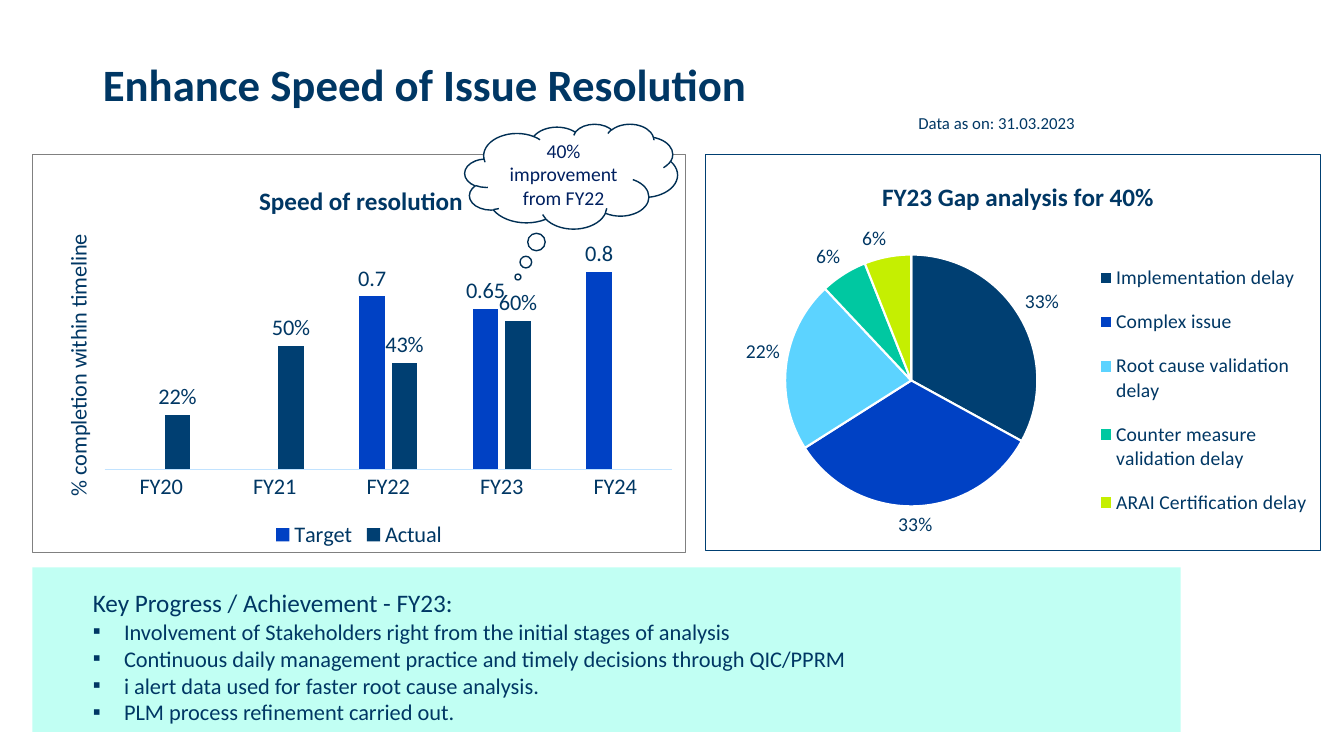
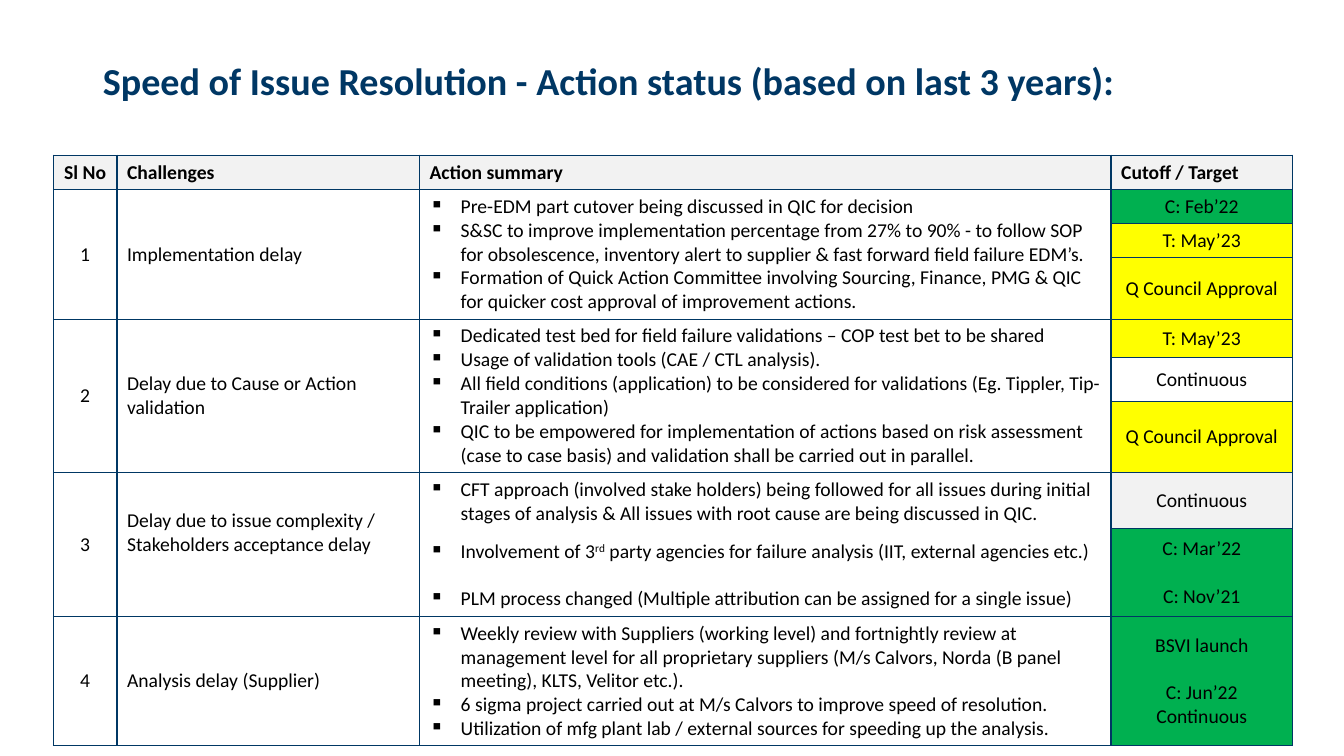
from lxml.etree import SubElement
from pptx import Presentation
from pptx.chart.data import CategoryChartData
from pptx.dml.color import RGBColor
from pptx.enum.chart import XL_CHART_TYPE, XL_LABEL_POSITION, XL_LEGEND_POSITION, XL_TICK_MARK
from pptx.enum.shapes import MSO_SHAPE
from pptx.enum.text import MSO_ANCHOR, MSO_AUTO_SIZE, PP_ALIGN
from pptx.oxml import parse_xml
from pptx.oxml.ns import nsdecls, qn
from pptx.util import Inches, Pt

NAVY, DEEP, BLUE = "003764", "003F72", "0041C4"
WHITE, BLACK, GREY = "FFFFFF", "000000", "F2F2F2"
GREEN, YELLOW, MINT = "00B050", "FFFF00", "C1FFF3"
TITLE_BOX = (0.92, 0.4, 11.18, 0.85)
BULLET_INDENT = 0.31


def rgb(value):
    return RGBColor.from_string(value)


def assign(target, values):
    for name, value in values.items():
        setattr(target, name, value)


class Deck:
    def __init__(self):
        self.presentation = Presentation()
        assign(self.presentation, {"slide_width": Inches(13.33), "slide_height": Inches(7.5)})
        self.slide = None

    def add_slide(self, heading, size, layout, spacing=1.0):
        self.slide = self.presentation.slides.add_slide(self.presentation.slide_layouts[layout])
        title = self.slide.shapes.title
        self.place(title, TITLE_BOX)
        frame = title.text_frame
        assign(frame, {"vertical_anchor": MSO_ANCHOR.MIDDLE, "auto_size": MSO_AUTO_SIZE.NONE})
        self.typeset(frame.paragraphs[0], heading, size, bold=True, align=PP_ALIGN.LEFT, spacing=spacing)

    def place(self, shape, box):
        assign(shape, dict(zip(("left", "top", "width", "height"), map(Inches, box))))

    def style(self, font, size, color=NAVY, bold=False):
        assign(font, {"name": "Calibri", "size": Pt(size), "bold": bold})
        font.color.rgb = rgb(color)

    def typeset(self, paragraph, text, size, color=NAVY, bold=False, align=None, spacing=1.0, gap=0):
        assign(paragraph, {"alignment": align, "line_spacing": spacing, "space_before": Pt(gap)})
        for index, part in enumerate(text.split("^")):
            run = paragraph.add_run()
            run.text = part
            self.style(run.font, size, color, bold)
            if index % 2:
                run.font._element.set("baseline", "30000")

    def indent(self, paragraph, left, hanging=0.0, bullet=None):
        properties = paragraph._p.get_or_add_pPr()
        properties.set("marL", str(int(Inches(left))))
        properties.set("indent", str(int(Inches(-hanging))))
        if bullet:
            SubElement(properties, qn("a:buChar")).set("char", bullet)
        else:
            SubElement(properties, qn("a:buNone"))

    def paragraphs(self, frame, count):
        return [frame.paragraphs[0]] + [frame.add_paragraph() for _ in range(count - 1)]

    def progress_panel(self, box, heading, points):
        panel = self.slide.placeholders[1]
        self.place(panel, box)
        panel.fill.solid()
        panel.fill.fore_color.rgb = rgb(MINT)
        frame = panel.text_frame
        assign(frame, {"vertical_anchor": MSO_ANCHOR.TOP, "auto_size": MSO_AUTO_SIZE.NONE})
        first, *others = self.paragraphs(frame, len(points) + 1)
        self.indent(first, 0.5)
        self.typeset(first, heading, 18, spacing=1.5)
        for paragraph, point in zip(others, points):
            self.indent(paragraph, 0.5 + BULLET_INDENT, BULLET_INDENT, "▪")
            self.typeset(paragraph, point, 16)

    def caption(self, box, text, size):
        frame = self.slide.shapes.add_textbox(*map(Inches, box)).text_frame
        frame.word_wrap = False
        self.typeset(frame.paragraphs[0], text, size)

    def cloud(self, box, text, pointer):
        callout = self.slide.shapes.add_shape(MSO_SHAPE.CLOUD_CALLOUT, *map(Inches, box))
        callout.shadow.inherit = False
        callout.adjustments[0], callout.adjustments[1] = pointer
        callout.fill.solid()
        callout.fill.fore_color.rgb = rgb(WHITE)
        callout.line.color.rgb = rgb("002F54")
        callout.line.width = Pt(1)
        callout.text_frame.vertical_anchor = MSO_ANCHOR.MIDDLE
        self.typeset(callout.text_frame.paragraphs[0], text, 14, "002060", align=PP_ALIGN.CENTER)

    def arrange(self, element, **fractions):
        previous = element.find(qn("c:layout"))
        if previous is not None:
            element.remove(previous)
        layout = parse_xml(f"<c:layout {nsdecls('c')}><c:manualLayout/></c:layout>")
        settings = {"xMode": "edge", "yMode": "edge", **fractions}
        if element.tag == qn("c:plotArea"):
            settings = {"layoutTarget": "inner", **settings}
        for name, value in settings.items():
            SubElement(layout[0], qn(f"c:{name}")).set("val", str(value))
        leaders = [child for child in element if child.tag in (qn("c:tx"), qn("c:legendPos"))]
        if leaders:
            leaders[-1].addnext(layout)
        else:
            element.insert(0, layout)

    def chart(self, kind, box, heading, categories, series, size, border, legend, title_at, plot_at):
        data = CategoryChartData()
        data.categories = categories
        for name, values in series:
            data.add_series(name, values)
        chart = self.slide.shapes.add_chart(kind, *map(Inches, box), data).chart
        self.style(chart.font, size)
        assign(chart, {"has_title": True, "has_legend": True})
        self.typeset(chart.chart_title.text_frame.paragraphs[0], heading, 18, bold=True)
        assign(chart.legend, {"position": legend, "include_in_layout": False})
        self.style(chart.legend.font, size)
        space = chart._chartSpace
        space.find(qn("c:chart")).addnext(parse_xml(
            f"<c:spPr {nsdecls('c', 'a')}><a:noFill/><a:ln w='9525'><a:solidFill>"
            f"<a:srgbClr val='{border}'/></a:solidFill></a:ln></c:spPr>"))
        self.arrange(chart.chart_title._element, **title_at)
        self.arrange(space.chart.plotArea, **plot_at)
        return chart

    def data_labels(self, series, size, number_format, **shown):
        labels = series.data_labels
        assign(labels, {"number_format": number_format, "number_format_is_linked": False,
                        "position": XL_LABEL_POSITION.OUTSIDE_END, **shown})
        self.style(labels.font, size)

    def columns(self, box, heading, axis_heading, categories, series):
        chart = self.chart(XL_CHART_TYPE.COLUMN_CLUSTERED, box, heading, categories,
                           [(name, values) for name, values, _, _ in series], 16, "808080",
                           XL_LEGEND_POSITION.BOTTOM, {"x": 0.34, "y": 0.06},
                           {"x": 0.11, "y": 0.17, "w": 0.87, "h": 0.62})
        assign(chart.plots[0], {"gap_width": 219, "overlap": -27, "vary_by_categories": False})
        for bars, (_, _, color, number_format) in zip(chart.plots[0].series, series):
            bars.format.fill.solid()
            bars.format.fill.fore_color.rgb = rgb(color)
            self.data_labels(bars, 16, number_format, show_value=True)
        years, share = chart.category_axis, chart.value_axis
        years.major_tick_mark = XL_TICK_MARK.NONE
        self.style(years.tick_labels.font, 16)
        years.format.line.color.rgb = rgb("C2E3FF")
        years.format.line.width = Pt(0.75)
        assign(share, {"minimum_scale": 0, "maximum_scale": 1, "visible": False,
                       "has_major_gridlines": False, "has_title": True})
        frame = share.axis_title.text_frame
        self.typeset(frame.paragraphs[0], axis_heading, 16)
        frame._txBody.bodyPr.set("rot", "-5400000")
        frame._txBody.bodyPr.set("vert", "horz")
        self.arrange(share.axis_title._element, x=0.04, y=0.19)

    def pie(self, box, heading, slices):
        chart = self.chart(XL_CHART_TYPE.PIE, box, heading, [name for name, _, _ in slices],
                           [("Series 1", [value for _, value, _ in slices])], 14, DEEP,
                           XL_LEGEND_POSITION.RIGHT, {"x": 0.28, "y": 0.05},
                           {"x": 0.13, "y": 0.25, "w": 0.41, "h": 0.64})
        chart.plots[0].vary_by_categories = True
        gaps = chart.plots[0].series[0]
        for index, (_, _, color) in enumerate(slices):
            wedge = gaps.points[index].format
            wedge.fill.solid()
            wedge.fill.fore_color.rgb = rgb(color)
            wedge.line.color.rgb = rgb(WHITE)
            wedge.line.width = Pt(1.5)
        self.data_labels(gaps, 14, "0%", show_percentage=True, show_value=False)
        self.arrange(chart.legend._element, x=0.63, y=0.23, w=0.36, h=0.73)

    def cell(self, cell, lines, fill=None, bold=False, align=None, bullet=None):
        cell.vertical_anchor = MSO_ANCHOR.MIDDLE
        self.shade(cell, fill)
        for paragraph, line in zip(self.paragraphs(cell.text_frame, len(lines)), lines):
            text, gap = line if isinstance(line, tuple) else (line, 0)
            if bullet:
                self.indent(paragraph, BULLET_INDENT, BULLET_INDENT, bullet)
            self.typeset(paragraph, text, 14, BLACK, bold, align, gap=gap)

    def shade(self, cell, fill):
        if fill:
            cell.fill.solid()
            cell.fill.fore_color.rgb = rgb(fill)
        else:
            cell.fill.background()

    def action_table(self, position, widths, heights, headings, challenges):
        box = (*position, sum(widths), sum(heights))
        table = self.slide.shapes.add_table(len(heights), len(widths), *map(Inches, box)).table
        assign(table, {"first_row": False, "horz_banding": False})
        for column, width in zip(table.columns, widths):
            column.width = Inches(width)
        for row, height in zip(table.rows, heights):
            row.height = Inches(height)
        for cell in table.iter_cells():
            self.shade(cell, None)
        for index, heading in enumerate(headings):
            self.cell(table.cell(0, index), [heading], GREY, True, None if index else PP_ALIGN.CENTER)
        top = 1
        for number, (challenge, actions, targets, lift) in enumerate(challenges, 1):
            bottom = top + len(targets) - 1
            if bottom > top:
                for column in range(3):
                    table.cell(top, column).merge(table.cell(bottom, column))
            self.cell(table.cell(top, 0), [str(number)], align=PP_ALIGN.CENTER)
            self.cell(table.cell(top, 1), [challenge])
            table.cell(top, 1).margin_bottom = Inches(0.05 + lift)
            self.cell(table.cell(top, 2), actions, bullet="▪")
            for offset, (lines, fill) in enumerate(targets):
                self.cell(table.cell(top + offset, 3), lines, fill, align=PP_ALIGN.CENTER)
            top = bottom + 1
        for cell in table.iter_cells():
            properties = cell._tc.get_or_add_tcPr()
            for index, side in enumerate("LRTB"):
                properties.insert(index, parse_xml(
                    f"<a:ln{side} {nsdecls('a')} w='12700'><a:solidFill>"
                    f"<a:srgbClr val='{NAVY}'/></a:solidFill></a:ln{side}>"))


def main():
    deck = Deck()
    deck.add_slide("Enhance Speed of Issue Resolution", 32, 1)
    deck.columns((0.32, 1.53, 6.48, 3.96), "Speed of resolution", "% completion within timeline",
                 ["FY20", "FY21", "FY22", "FY23", "FY24"],
                 [("Target", [None, None, 0.7, 0.65, 0.8], BLUE, "General"),
                  ("Actual", [0.22, 0.5, 0.43, 0.6, None], DEEP, "0%")])
    deck.cloud((4.61, 1.23, 2.11, 1.04), "40% improvement from FY22", (-0.25, 0.96))
    deck.caption((9.01, 1.07, 1.78, 0.3), "Data as on: 31.03.2023", 12)
    deck.progress_panel((0.32, 5.63, 11.39, 1.63), "Key Progress / Achievement - FY23:", [
        "Involvement of Stakeholders right from the initial stages of analysis",
        "Continuous daily management practice and timely decisions through QIC/PPRM",
        "i alert data used for faster root cause analysis.",
        "PLM process refinement carried out."])
    deck.pie((6.99, 1.53, 6.11, 3.94), "FY23 Gap analysis for 40%", [
        ("Implementation delay", 33, DEEP),
        ("Complex issue", 33, BLUE),
        ("Root cause validation delay", 22, "5CD3FF"),
        ("Counter measure validation delay", 6, "00C8A1"),
        ("ARAI Certification delay", 6, "C5EF01")])

    deck.add_slide("Speed of Issue Resolution - Action status (based on last 3 years):", 27.2, 5, 0.9)
    deck.action_table(
        (0.53, 1.54), (0.63, 3, 6.86, 1.8),
        (0.34, 0.34, 0.33, 0.61, 0.38, 0.44, 0.7, 0.56, 0.87, 1.28),
        ("Sl No", "Challenges", "Action summary", "Cutoff / Target"), [
            ("Implementation delay", [
                "Pre-EDM part cutover being discussed in QIC for decision",
                "S&SC to improve implementation percentage from 27% to 90% - to follow SOP for "
                "obsolescence, inventory alert to supplier & fast forward field failure EDM’s.",
                "Formation of Quick Action Committee involving Sourcing, Finance, PMG & QIC for "
                "quicker cost approval of improvement actions."],
             [(["C: Feb’22"], GREEN), (["T: May’23"], YELLOW), (["Q Council Approval"], YELLOW)], 0),
            ("Delay due to Cause or Action validation", [
                "Dedicated test bed for field failure validations – COP test bet to be shared",
                "Usage of validation tools (CAE / CTL analysis).",
                "All field conditions (application) to be considered for validations (Eg. Tippler, "
                "Tip-Trailer application)",
                "QIC to be empowered for implementation of actions based on risk assessment "
                "(case to case basis) and validation shall be carried out in parallel."],
             [(["T: May’23"], YELLOW), (["Continuous"], None), (["Q Council Approval"], YELLOW)], 0),
            ("Delay due to issue complexity / Stakeholders acceptance delay", [
                "CFT approach (involved stake holders) being followed for all issues during initial "
                "stages of analysis & All issues with root cause are being discussed in QIC.",
                ("Involvement of 3^rd^ party agencies for failure analysis "
                 "(IIT, external agencies etc.)", 10),
                ("PLM process changed (Multiple attribution can be assigned for a single issue)", 17)],
             [(["Continuous"], GREY), (["C: Mar’22", ("C: Nov’21", 17)], GREEN)], 0.24),
            ("Analysis delay (Supplier)", [
                "Weekly review with Suppliers (working level) and fortnightly review at management "
                "level for all proprietary suppliers (M/s Calvors, Norda (B panel meeting), KLTS, "
                "Velitor etc.).",
                "6 sigma project carried out at M/s Calvors to improve speed of resolution.",
                "Utilization of mfg plant lab / external sources for speeding up the analysis."],
             [(["BSVI launch", ("C: Jun’22", 17), "Continuous"], GREEN)], 0)])
    deck.presentation.save("out.pptx")


if __name__ == "__main__":
    main()
